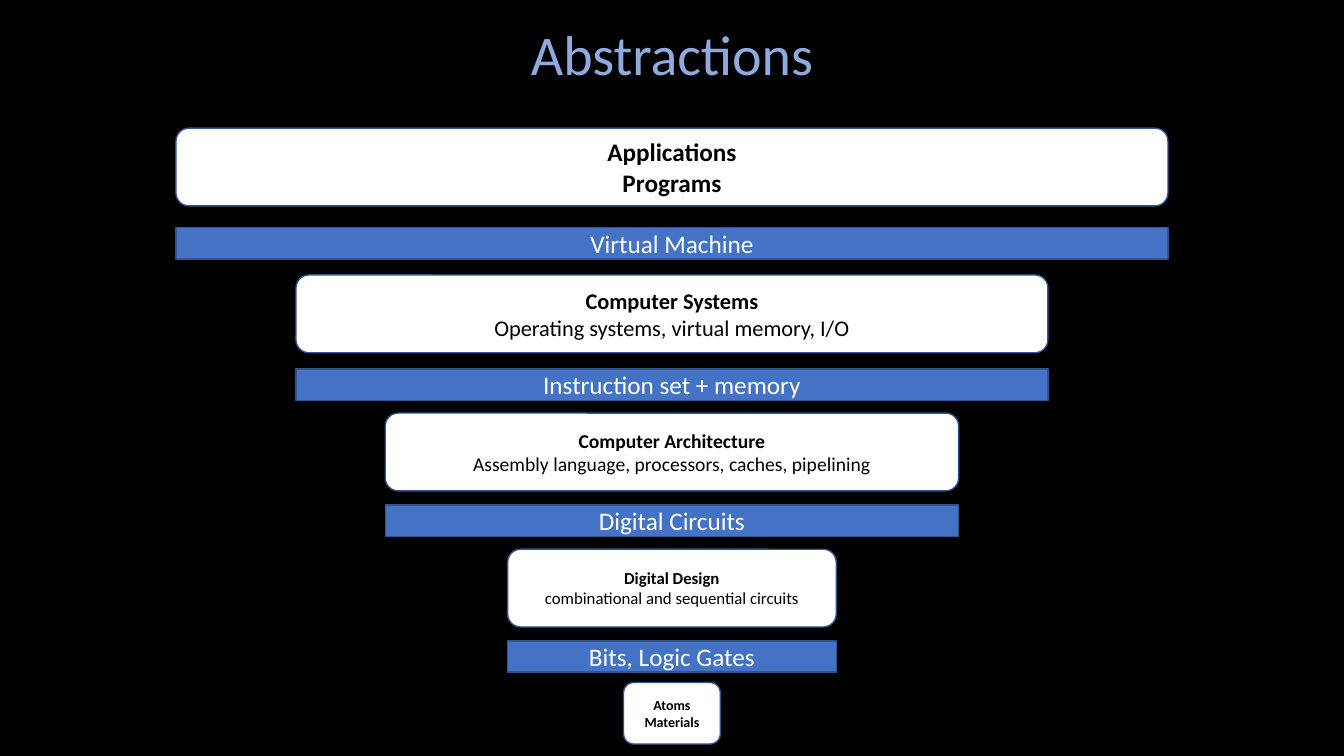
from dataclasses import dataclass
from typing import NamedTuple

from pptx import Presentation
from pptx.dml import color as c
from pptx.enum import shapes as s, text as t
from pptx.util import Cm, Pt


@dataclass(frozen=True)
class Theme:
    font: str = "Calibri"
    back: str = "000000"
    title: str = "8FAADC"
    box: str = "FFFFFF"
    bar: str = "4472C4"
    edge: str = "325491"
    dark: str = "000000"
    light: str = "FFFFFF"
    title_size: int = 40
    bar_size: int = 18


class Layer(NamedTuple):
    width: float
    top: float
    size: int
    head: str
    note: str = ""
    bold_note: bool = False
    bar_top: float = 0
    bar: str = ""
    height: float = 1.96


THEME = Theme()
WIDTH, HEIGHT = 33.87, 19.05
BAR_HEIGHT = 0.79

LAYERS = [
    Layer(25, 3.23, 18, "Applications", "Programs", True, 5.74, "Virtual Machine"),
    Layer(18.95, 6.93, 16, "Computer Systems",
          "Operating systems, virtual memory, I/O", False, 9.3, "Instruction set + memory"),
    Layer(14.45, 10.41, 14, "Computer Architecture",
          "Assembly language, processors, caches, pipelining", False, 12.73, "Digital Circuits"),
    Layer(8.28, 13.84, 12, "Digital Design",
          "combinational and sequential circuits", False, 16.15, "Bits, Logic Gates"),
    Layer(2.44, 17.2, 10, "Atoms Materials", height=1.55),
]


def rgb(code: str) -> c.RGBColor:
    return c.RGBColor.from_string(code)


def style(para, size: int, color: str, bold: bool = False) -> None:
    para.alignment = t.PP_ALIGN.CENTER
    para.line_spacing = 1.0
    for run in para.runs:
        font = run.font
        font.name, font.size, font.bold = THEME.font, Pt(size), bold
        font.color.rgb = rgb(color)


def draw_block(slide, kind, top: float, width: float, height: float, fill: str, words: str):
    """Add a block centred on the slide and return its text frame."""
    block = slide.shapes.add_shape(
        kind, Cm((WIDTH - width) / 2), Cm(top), Cm(width), Cm(height))
    block.shadow.inherit = False
    block.fill.solid()
    block.fill.fore_color.rgb = rgb(fill)
    block.line.color.rgb = rgb(THEME.edge)
    block.line.width = Pt(1)
    frame = block.text_frame
    frame.word_wrap = True
    frame.vertical_anchor = t.MSO_ANCHOR.MIDDLE
    frame.margin_top = frame.margin_bottom = 0
    frame.text = words
    return frame


def draw_layer(slide, layer: Layer) -> None:
    words = "\n".join(filter(None, (layer.head, layer.note)))
    frame = draw_block(slide, s.MSO_SHAPE.ROUNDED_RECTANGLE, layer.top,
                       layer.width, layer.height, THEME.box, words)
    for i, para in enumerate(frame.paragraphs):
        style(para, layer.size, THEME.dark, i == 0 or layer.bold_note)
    if layer.bar:
        frame = draw_block(slide, s.MSO_SHAPE.RECTANGLE, layer.bar_top,
                           layer.width, BAR_HEIGHT, THEME.bar, layer.bar)
        style(frame.paragraphs[0], THEME.bar_size, THEME.light)


def draw_title(slide, words: str) -> None:
    title = slide.shapes.title
    title.left, title.top, title.width, title.height = Cm(5.2), Cm(0.36), Cm(23.47), Cm(1.96)
    frame = title.text_frame
    frame.text = words
    frame.auto_size = t.MSO_AUTO_SIZE.NONE
    frame.vertical_anchor = t.MSO_ANCHOR.TOP
    style(frame.paragraphs[0], THEME.title_size, THEME.title)


# Slide and background
deck = Presentation()
deck.slide_width, deck.slide_height = Cm(WIDTH), Cm(HEIGHT)
slide = deck.slides.add_slide(deck.slide_layouts[5])
slide.background.fill.solid()
slide.background.fill.fore_color.rgb = rgb(THEME.back)

# Title and the stack of layers
draw_title(slide, "Abstractions")
for layer in LAYERS:
    draw_layer(slide, layer)

deck.save("out.pptx")
